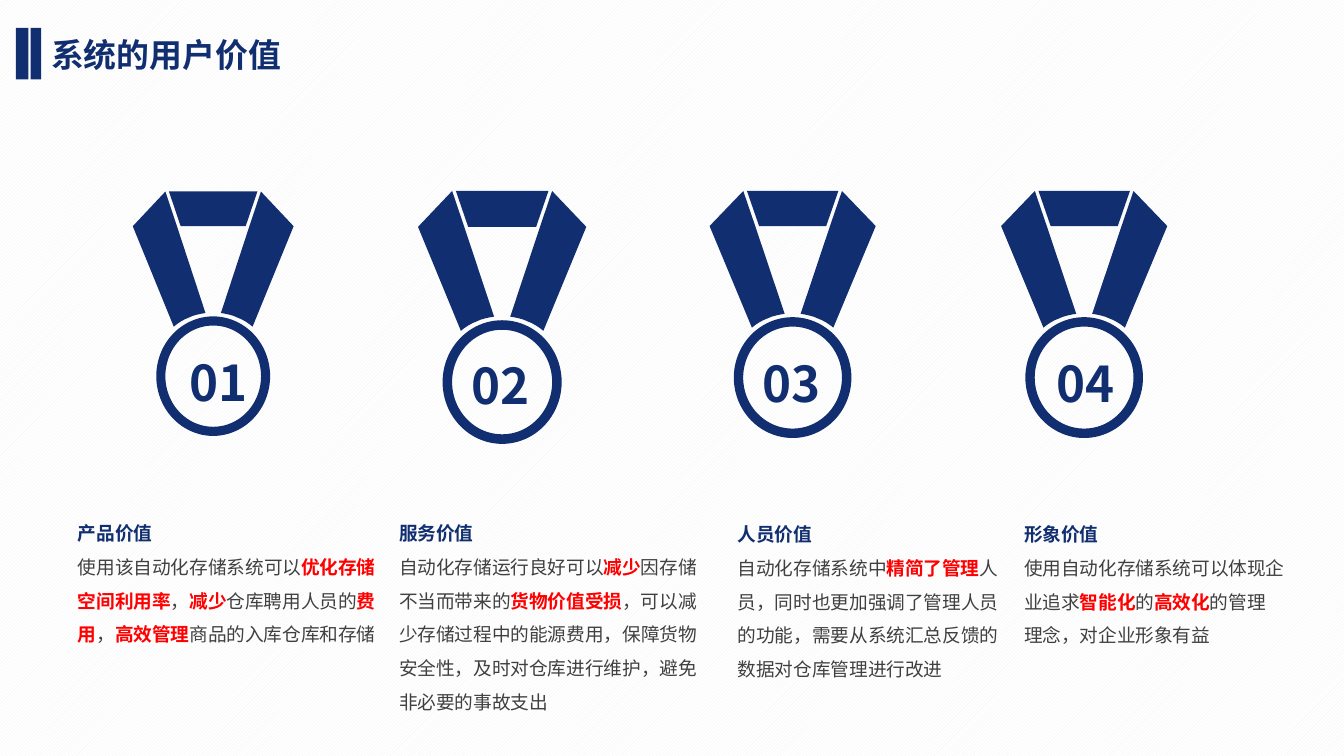
from math import cos, radians, sin

from lxml import etree
from pptx import Presentation
from pptx import util as u
from pptx.dml.color import RGBColor
from pptx.enum import dml, shapes, text
from pptx.oxml.ns import qn

COLORS = {"navy": "112F70", "body": "404040", "accent": "FF0000",
          "hatch": "F2F2F2", "paper": "FFFFFF"}
FONT = "Noto Sans CJK SC"
NUMBER_FONT = "Noto Sans CJK JP"

# Medal outlines on a 1000 x 1000 grid
RING_CENTER = (500, 755)
STRAP_ARC = (390, 260)
RING_BOX = (146, 511, 708, 489)
BAR = [(225, 0), (775, 0), (702, 142), (298, 142)]

# Medal box, then left and top of its number, in cm
MEDALS = [
    ((2.51, 3.62, 3.04, 4.62), (3.28, 6.53)),
    ((7.9, 3.61, 3.18, 4.78), (8.61, 6.6)),
    ((13.41, 3.61, 3.14, 4.67), (14.1, 6.55)),
    ((18.92, 3.61, 3.14, 4.67), (19.66, 6.55)),
]

# Box in cm, wrap, heading, paragraphs; *...* marks the emphasis
VALUES = [
    ((1.22, 9.53, 6.32, 2.82), True, "产品价值",
     ["使用该自动化存储系统可以*优化存储空间利用率*，*减少*仓库聘用人员的*费用*，"
      "*高效管理*商品的入库仓库和存储"]),
    ((7.29, 9.53, 6.17, 4.09), False, "服务价值",
     ["自动化存储运行良好可以*减少*因存储",
      "不当而带来的*货物价值受损*，可以减",
      "少存储过程中的能源费用，保障货物",
      "安全性，及时对仓库进行维护，避免",
      "非必要的事故支出"]),
    ((13.69, 9.55, 5.61, 3.45), True, "人员价值",
     ["自动化存储系统中*精简了管理*人员，同时也更加强调了管理人员的功能，"
      "需要从系统汇总反馈的数据对仓库管理进行改进"]),
    ((19.1, 9.55, 5.44, 2.82), False, "形象价值",
     ["使用自动化存储系统可以体现企",
      "业追求*智能化*的*高效化*的管理",
      "理念，对企业形象有益"]),
]


def rgb(name):
    return RGBColor.from_string(COLORS[name])


def strap_outline():
    """Left strap, its lower end cut along a circle around the ring."""
    (cx, cy), (rx, ry) = RING_CENTER, STRAP_ARC
    arc = [(cx - rx * cos(radians(a)), cy - ry * sin(radians(a)))
           for a in range(51, 84, 4)]
    return [(0, 142), *arc, (275, 142), (203, 0)]


class Deck:
    def __init__(self, prs, slide):
        self.prs = prs
        self.s = slide

    def background(self):
        fill = self.s.background.fill
        fill.patterned()
        fill.pattern = dml.MSO_PATTERN.LIGHT_UPWARD_DIAGONAL
        fill.fore_color.rgb = rgb("hatch")
        fill.back_color.rgb = rgb("paper")

    def paint(self, sp):
        sp.shadow.inherit = False
        sp.fill.solid()
        sp.fill.fore_color.rgb = rgb("navy")
        sp.line.fill.background()

    def rect(self, *box):
        sp = self.s.shapes.add_shape(shapes.MSO_SHAPE.RECTANGLE, *map(u.Cm, box))
        self.paint(sp)

    def run(self, p, words, size, color, bold, font=FONT):
        r = p.add_run()
        r.text = words
        style = {"name": font, "size": u.Pt(size), "bold": bold}
        for key, value in style.items():
            setattr(r.font, key, value)
        r.font.color.rgb = rgb(color)
        latin = r.font._element.find(qn("a:latin"))
        ea = etree.Element(qn("a:ea"), typeface=font)
        latin.addnext(ea)

    def frame(self, sp, box, wrap=True):
        """Place a text holder and return its first paragraph."""
        for key, value in zip(("left", "top", "width", "height"), box):
            setattr(sp, key, u.Cm(value))
        tf = sp.text_frame
        style = {"word_wrap": wrap, "auto_size": text.MSO_AUTO_SIZE.NONE,
                 "vertical_anchor": text.MSO_ANCHOR.TOP}
        for key, value in style.items():
            setattr(tf, key, value)
        return tf.paragraphs[0]

    def title(self, words, box):
        p = self.frame(self.s.shapes.title, box)
        p.alignment = text.PP_ALIGN.LEFT
        self.run(p, words, 17.6, "navy", True)

    def value(self, sp, box, wrap, heading, lines):
        first = self.frame(sp, box, wrap)
        self.plain(first)
        self.run(first, heading, 10, "navy", True)
        for line in lines:
            p = sp.text_frame.add_paragraph()
            self.plain(p)
            for i, part in enumerate(line.split("*")):
                if part:
                    strong = i % 2 == 1
                    self.run(p, part, 10, "accent" if strong else "body", strong)

    def plain(self, p):
        """Paragraph without bullet, indent or gap."""
        style = {"line_spacing": 1.5, "space_before": u.Pt(0),
                 "alignment": text.PP_ALIGN.LEFT}
        for key, value in style.items():
            setattr(p, key, value)
        ppr = p._p.get_or_add_pPr()
        ppr.set("marL", "0")
        ppr.set("indent", "0")
        etree.SubElement(ppr, qn("a:buNone"))

    def medal(self, box, number_at, number):
        left, top, width, height = map(u.Cm, box)
        sx, sy = width / 1000, height / 1000
        group = self.s.shapes.add_group_shape().shapes
        strap = strap_outline()
        mirrored = [(1000 - x, y) for x, y in strap]
        for points in (BAR, strap, mirrored):
            path = group.build_freeform(*points[0], scale=(sx, sy))
            path.add_line_segments(points[1:], close=True)
            self.paint(path.convert_to_shape(left, top))
        x, y, w, h = RING_BOX
        ring = group.add_shape(shapes.MSO_SHAPE.DONUT, int(left + x * sx),
                               int(top + y * sy), int(w * sx), int(h * sy))
        ring.adjustments[0] = 0.08
        self.paint(ring)
        label = group.add_textbox(0, 0, 0, 0)
        p = self.frame(label, (*number_at, 1.71, 1.4))
        p.alignment = text.PP_ALIGN.CENTER
        self.run(p, number, 26.4, "navy", True, NUMBER_FONT)


def main():
    prs = Presentation()
    prs.slide_width, prs.slide_height = u.Cm(25.4), u.Cm(14.29)
    # The comparison layout has a title and four body placeholders
    deck = Deck(prs, prs.slides.add_slide(prs.slide_layouts[4]))
    deck.background()
    deck.title("系统的用户价值", (0.71, 0.53, 6.15, 1.02))
    deck.rect(0.3, 0.53, 0.24, 0.97)
    deck.rect(0.58, 0.53, 0.2, 0.97)
    bodies = list(deck.s.placeholders)[1:]
    for sp, value in zip(bodies, VALUES):
        deck.value(sp, *value)
    for i, (box, number_at) in enumerate(MEDALS, 1):
        deck.medal(box, number_at, f"{i:02}")
    prs.save("out.pptx")


if __name__ == "__main__":
    main()
